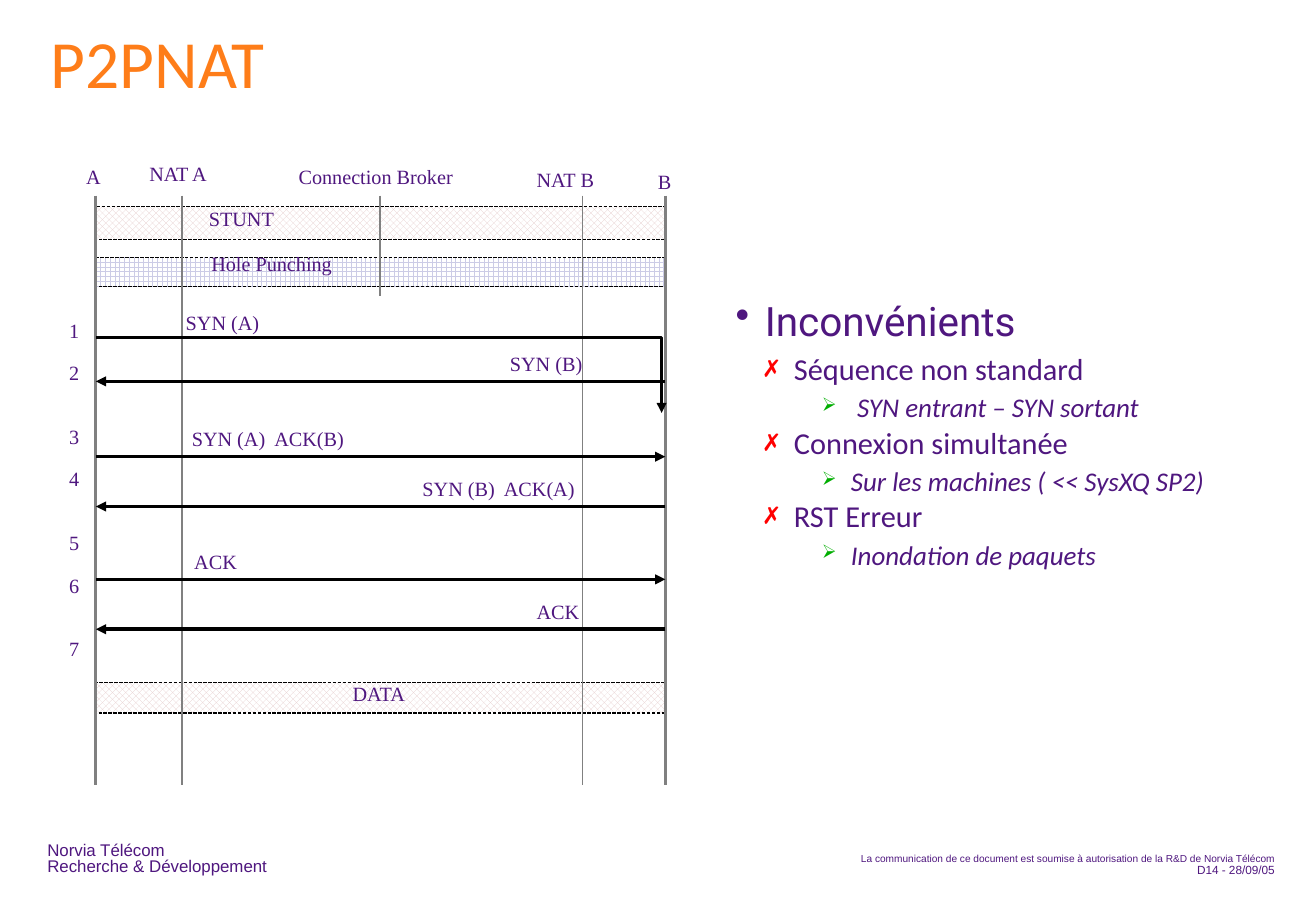
from dataclasses import dataclass

import pptx
import pptx.dml.color
import pptx.enum.dml
import pptx.enum.shapes
import pptx.enum.text
import pptx.oxml
import pptx.oxml.ns
import pptx.util

Inches, Pt = pptx.util.Inches, pptx.util.Pt
ALIGN = pptx.enum.text.PP_ALIGN
CONNECTOR = pptx.enum.shapes.MSO_CONNECTOR
PATTERN = pptx.enum.dml.MSO_PATTERN

COLORS = {"purple": "4F177F", "orange": "FE7D19", "grey": "808080", "black": "000000",
          "white": "FFFFFF", "rose": "E6CCCC", "lavender": "CCCCE6",
          "red": "FF0000", "green": "00AE00"}
LABEL = {"name": "Times New Roman", "size": Pt(12)}
TIGHT = {"line_spacing": 0.86}

# Offsets in inches from the top left corner of the diagram
LIFELINES = [  # name, x, line width, length, label x, label y
    ("A", 0, 1.75, 4.85, -0.08, -0.23),
    ("NAT A", 0.71, 1.5, 4.85, 0.44, -0.25),
    ("Connection Broker", 2.34, 0.75, 0.83, 1.67, -0.23),
    ("NAT B", 4.01, 0.75, 4.85, 3.63, -0.2),
    ("B", 4.69, 1.75, 4.85, 4.63, -0.19),
]
BANDS = [  # name, top, height, pattern, colour, label x, label y, alignment
    ("STUNT", 0.09, 0.27, PATTERN.OUTLINED_DIAMOND, "rose", 0.93, 0.12, ALIGN.LEFT),
    ("Hole Punching", 0.51, 0.24, PATTERN.LARGE_GRID, "lavender", 0.95, 0.49, ALIGN.LEFT),
    ("DATA", 4.01, 0.25, PATTERN.OUTLINED_DIAMOND, "rose", 1.74, 4.03, ALIGN.CENTER),
]
MESSAGES = [  # text, label x, arrow y, whether it goes from A to B
    ("SYN (B)", 3.41, 1.53, False),
    ("SYN (A)  ACK(B)", 0.79, 2.15, True),
    ("SYN (B)  ACK(A)", 2.69, 2.56, False),
    ("ACK", 0.81, 3.16, True),
    ("ACK", 3.63, 3.57, False),
]
DRAWBACKS = [
    ("Séquence non standard", " SYN entrant – SYN sortant"),
    ("Connexion simultanée", "Sur les machines ( << SysXQ SP2)"),
    ("RST Erreur", "Inondation de paquets"),
]


@dataclass
class Box:
    left: float
    top: float
    width: float
    height: float

    def inside(self, x, y, width, height):
        return Box(self.left + x, self.top + y, width, height)

    def lengths(self):
        return [Inches(v) for v in (self.left, self.top, self.width, self.height)]


def rgb(name):
    return pptx.dml.color.RGBColor.from_string(COLORS[name])


def set_all(target, values):
    for name, value in values.items():
        setattr(target, name, value)


def add_xml(parent, tag, attributes="", content=""):
    names = pptx.oxml.ns.nsdecls("a")
    parent.append(pptx.oxml.parse_xml(f"<a:{tag} {names} {attributes}>{content}</a:{tag}>"))


def set_bullet(para, char, color, percent, indent):
    props = para._p.get_or_add_pPr()
    props.set("marL", str(Inches(indent)))
    props.set("indent", str(Inches(-0.24)))
    add_xml(props, "buClr", content=f"<a:srgbClr val='{COLORS[color]}'/>")
    add_xml(props, "buSzPct", f"val='{percent * 1000}'")
    add_xml(props, "buChar", f"char='{char}'")


def fill_frame(frame, paras, margins=(0, 0), color="purple"):
    """Write paras, a list of (text, font, paragraph format, bullet or None)."""
    side, end = (Inches(v) for v in margins)
    set_all(frame, {"word_wrap": True, "auto_size": pptx.enum.text.MSO_AUTO_SIZE.NONE,
                    "vertical_anchor": pptx.enum.text.MSO_ANCHOR.TOP,
                    "margin_left": side, "margin_right": side,
                    "margin_top": end, "margin_bottom": end})
    for number, (text, font, layout, bullet) in enumerate(paras):
        para = frame.add_paragraph() if number else frame.paragraphs[0]
        if bullet:
            set_bullet(para, *bullet)
        set_all(para, layout)
        span = para.add_run()
        span.text = text
        set_all(span.font, font)
        span.font.color.rgb = rgb(color)


def add_text(page, box, paras, margins=(0, 0)):
    fill_frame(page.shapes.add_textbox(*box.lengths()).text_frame, paras, margins)


def add_label(page, box, text, align=ALIGN.LEFT):
    add_text(page, box, [(text, LABEL, {**TIGHT, "alignment": align}, None)])


def add_line(page, box, start, end, color="black", width=0, arrow=False, kind=CONNECTOR.STRAIGHT):
    points = [Inches(v) for x, y in (start, end) for v in (box.left + x, box.top + y)]
    line = page.shapes.add_connector(kind, *points)
    line.line.color.rgb = rgb(color)
    line.line.width = Pt(width)
    if arrow:
        add_xml(line.line._get_or_add_ln(), "tailEnd", "type='triangle'")
    add_xml(line._element.spPr, "effectLst")
    return line


def add_band(page, box, pattern, color):
    band = page.shapes.add_shape(pptx.enum.shapes.MSO_SHAPE.RECTANGLE, *box.lengths())
    band.shadow.inherit = False
    band.fill.patterned()
    band.fill.pattern = pattern
    band.fill.fore_color.rgb = rgb(color)
    band.fill.back_color.rgb = rgb("white")
    band.line.color.rgb = rgb("black")
    band.line.width = Pt(0)
    band.line.dash_style = pptx.enum.dml.MSO_LINE.SQUARE_DOT


def add_sequence_diagram(page, box):
    for name, top, height, pattern, color, *_ in BANDS:
        add_band(page, box.inside(0, top, box.width, height), pattern, color)
    for name, x, width, length, label_x, label_y in LIFELINES:
        add_line(page, box, (x, 0), (x, length), "grey", width)
        add_label(page, box.inside(label_x, label_y, 1.8, 0.23), name)
    for name, *_, label_x, label_y, align in BANDS:
        add_label(page, box.inside(label_x, label_y, 1.18, 0.23), name, align)

    nat_x, syn_y = LIFELINES[1][1], 1.17
    add_label(page, box.inside(0.74, 0.97, 0.76, 0.23), "SYN (A)")
    add_line(page, box, (0, syn_y), (nat_x, syn_y))
    bend = add_line(page, box, (nat_x, syn_y), (4.66, 1.79), arrow=True, kind=CONNECTOR.ELBOW)
    bend._element.spPr.find(pptx.oxml.ns.qn("a:prstGeom")).set("prst", "bentConnector2")

    for text, label_x, y, to_b in MESSAGES:
        ends = [(0, y), (box.width, y)]
        start, end = ends if to_b else reversed(ends)
        add_line(page, box, start, end, arrow=True)
        add_label(page, box.inside(label_x, y - 0.22, 1.58, 0.23), text)

    steps = []
    for number in range(1, 8):
        gap = 12.7 if number % 2 == 0 else 25.4
        layout = {**TIGHT, "space_before": Pt(gap)} if number > 1 else TIGHT
        steps.append((str(number), LABEL, layout, None))
    add_text(page, box.inside(-0.22, 1.04, 0.17, 3.7), steps)


def add_drawbacks(page, box):
    paras = [("Inconvénients", {"name": "Roboto", "size": Pt(24)},
              {"line_spacing": Pt(32), "space_after": Pt(3)}, ("•", "purple", 100, 0.47))]
    for point, detail in DRAWBACKS:
        paras.append((point, {"name": "Calibri", "size": Pt(18)},
                      {"level": 1, "line_spacing": Pt(22), "space_after": Pt(2.2)},
                      ("✗", "red", 100, 0.71)))
        paras.append((detail, {"name": "Calibri", "size": Pt(16), "italic": True},
                      {"level": 3, "line_spacing": 0.81, "space_before": Pt(4)},
                      ("➢", "green", 70, 1.18)))
    add_text(page, box, paras, (0.11, 0.06))


def add_footer(page, box):
    owner = {"name": "Arial", "size": Pt(10)}
    add_text(page, box.inside(0, 0, 2.2, 0.38),
             [(text, owner, {"line_spacing": 0.81}, None)
              for text in ("Norvia Télécom", "Recherche & Développement")], (0.09, 0.05))
    notice = {"line_spacing": 0.68, "alignment": ALIGN.RIGHT}
    add_text(page, box.inside(box.width - 4, 0.16, 4, 0.22), [
        ("La communication de ce document est soumise à autorisation de la R&D de Norvia Télécom",
         {"name": "Arial", "size": Pt(6)}, notice, None),
        ("D14 - 28/09/05", {"name": "Arial", "size": Pt(7)},
         {**notice, "space_before": Pt(1.2)}, None)], (0.04, 0))


def add_title(page, box):
    title = page.shapes.title
    set_all(title, dict(zip(("left", "top", "width", "height"), box.lengths())))
    fill_frame(title.text_frame,
               [("P2PNAT", {"name": "Calibri", "size": Pt(40)},
                 {"line_spacing": 0.81, "alignment": ALIGN.LEFT}, None)], (0.1, 0.05), "orange")


def main():
    deck = pptx.Presentation()
    deck.slide_width, deck.slide_height = Inches(10.84), Inches(7.5)
    page = deck.slides.add_slide(deck.slide_layouts[5])
    add_title(page, Box(0.32, 0.25, 9.07, 1.08))
    add_sequence_diagram(page, Box(0.79, 1.61, 4.69, 4.85))
    add_drawbacks(page, Box(5.72, 2.33, 5.02, 2.77))
    add_footer(page, Box(0.3, 6.89, 10.24, 0.38))
    deck.save("out.pptx")


if __name__ == "__main__":
    main()
